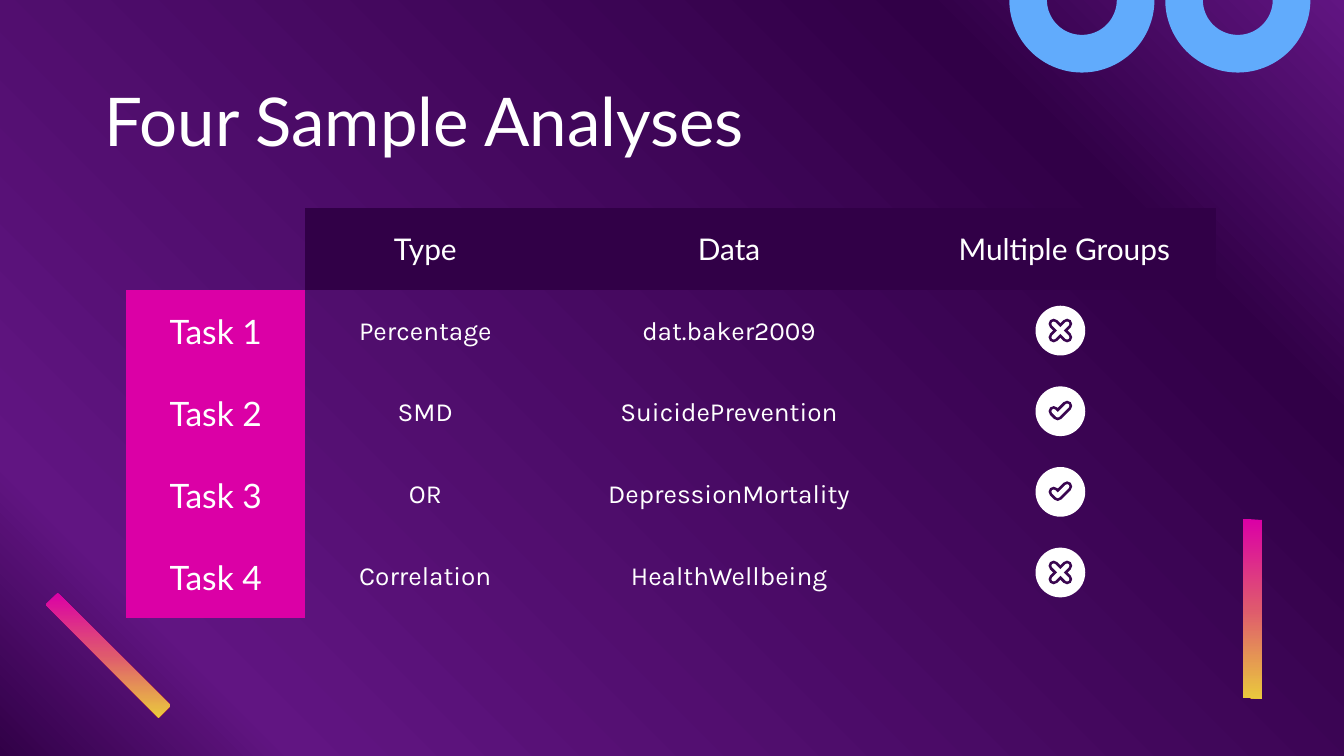
from dataclasses import dataclass
from math import cos, pi, sin

from lxml.etree import SubElement as Sub
from pptx import Presentation
from pptx.dml.color import RGBColor
from pptx.enum.shapes import MSO_SHAPE as Kind
from pptx.enum.text import MSO_ANCHOR as Anchor, MSO_AUTO_SIZE as Auto, PP_ALIGN as Align
from pptx.oxml.ns import qn
from pptx.util import Inches, Pt

WHITE, DARK, PINK, BLUE, HOLE = "FFFFFF", "310047", "DB00A6", "61ABFC", "3A0650"
GLOW = [(0, DARK), (14, "611582"), (80, DARK), (100, "611582")]
BLEND = [(0, PINK), (50, "DF596E"), (100, "EAC93D")]
TICK = [[(-0.05, 0), (-0.02, 0.03), (0.05, -0.04)]]
CROSS = [[(-0.05, -0.05), (0.05, 0.05)], [(0.05, -0.05), (-0.05, 0.05)]]
HEAD = ["Type", "Data", "Multiple Groups"]
WIDTHS = [1.33, 1.79, 2.73, 2.26]
ROW = 0.61


@dataclass
class Task:
    name: str
    kind: str
    data: str
    multi: bool


TASKS = [
    Task("Task 1", "Percentage", "dat.baker2009", False),
    Task("Task 2", "SMD", "SuicidePrevention", True),
    Task("Task 3", "OR", "DepressionMortality", True),
    Task("Task 4", "Correlation", "HealthWellbeing", False),
]
BARS = [
    [(0.34, 4.5), (0.43, 4.41), (1.27, 5.25), (1.18, 5.34)],
    [(9.25, 5.19), (9.25, 3.86), (9.39, 3.87), (9.39, 5.2)],
]


def color(code: str) -> RGBColor:
    """Turn a hex string into a colour."""
    return RGBColor.from_string(code)


def blend(fill, root, stops: list, angle: float) -> None:
    """Give a fill a linear gradient with the listed stops."""
    fill.gradient()
    fill.gradient_angle = angle
    marks = next(root.iter(qn("a:gsLst")))
    for old in list(marks):
        marks.remove(old)
    for place, code in stops:
        stop = Sub(marks, qn("a:gs"), pos=str(place * 1000))
        Sub(stop, qn("a:srgbClr"), val=code)


def trace(shapes, lines: list, close: bool = True):
    """Draw one freeform from lists of points in inches."""
    build = None
    for line in lines:
        spots = [(Inches(x), Inches(y)) for x, y in line]
        if build is None:
            build = shapes.build_freeform(*spots[0])
        else:
            build.move_to(*spots[0])
        build.add_line_segments(spots[1:], close=close)
    shape = build.convert_to_shape()
    shape.shadow.inherit = False
    return shape


def paint(shape, code: str) -> None:
    """Fill a shape with one colour and hide its outline."""
    shape.fill.solid()
    shape.fill.fore_color.rgb = color(code)
    shape.line.fill.background()


def add_ring(shapes, x: float, outer: float = 0.54, inner: float = 0.26) -> None:
    """Draw a half ring hanging from the top edge."""
    turns = [pi * n / 60 for n in range(61)]
    rim = [(x + outer * cos(t), outer * sin(t)) for t in turns]
    hole = [(x + inner * cos(t), inner * sin(t)) for t in reversed(turns)]
    paint(trace(shapes, [rim + hole]), BLUE)


def add_bar(shapes, points: list) -> None:
    """Draw a bar that fades from pink to yellow."""
    bar = trace(shapes, [points])
    blend(bar.fill, bar.element, BLEND, 270)
    bar.line.fill.background()


def add_mark(shapes, x: float, y: float, glyph: list, size: float = 0.37) -> None:
    """Draw a white disc with an outlined glyph in it."""
    group = shapes.add_group_shape().shapes
    disc = group.add_shape(Kind.OVAL, Inches(x - size / 2), Inches(y - size / 2),
                           Inches(size), Inches(size))
    disc.shadow.inherit = False
    paint(disc, WHITE)
    lines = [[(x + a, y + b) for a, b in line] for line in glyph]
    for code, width in ((HOLE, 5.5), (WHITE, 2.4)):
        stroke = trace(group, lines, False)
        stroke.fill.background()
        stroke.line.color.rgb = color(code)
        stroke.line.width = Pt(width)
        pen = next(stroke.element.iter(qn("a:ln")))
        pen.set("cap", "rnd")
        Sub(pen, qn("a:round"))


def style(part, font: str, size: float) -> None:
    """Set the font of all runs in a paragraph."""
    for run in part.runs:
        run.font.name = font
        run.font.size = Pt(size)
        run.font.bold = False
        run.font.color.rgb = color(WHITE)


def set_cell(cell, text: str, font: str, size: float, code: str) -> None:
    """Write and format one table cell."""
    cell.margin_left = cell.margin_right = Inches(0.1)
    cell.margin_top = cell.margin_bottom = Inches(0.1)
    cell.vertical_anchor = Anchor.MIDDLE
    if code:
        cell.fill.solid()
        cell.fill.fore_color.rgb = color(code)
    else:
        cell.fill.background()
    part = cell.text_frame.paragraphs[0]
    part.text = text
    part.alignment = Align.CENTER
    style(part, font, size)


def add_grid(shapes) -> None:
    """Draw the table of tasks."""
    count = len(TASKS) + 1
    frame = shapes.add_table(count, len(WIDTHS), Inches(0.94), Inches(1.55),
                             Inches(sum(WIDTHS)), Inches(ROW * count))
    table = frame.table
    table.first_row = table.horz_banding = False
    look = next(frame.element.iter(qn("a:tableStyleId")))
    look.text = "{2D5ABB26-0587-4C30-8999-92F81FD0307C}"
    for col, width in zip(table.columns, WIDTHS):
        col.width = Inches(width)
    rows = [["", *HEAD]] + [[t.name, t.kind, t.data, ""] for t in TASKS]
    for r, row in enumerate(rows):
        for c, text in enumerate(row):
            if r == 0:
                form = ("Lato", 16, DARK if c else "")
            elif c == 0:
                form = ("Lato", 18, PINK)
            else:
                form = ("Karla", 14, "")
            set_cell(table.cell(r, c), text, *form)


def set_title(title, text: str) -> None:
    """Place and format the slide title."""
    title.left, title.top = Inches(0.68), Inches(0.49)
    title.width, title.height = Inches(8.64), Inches(0.63)
    frame = title.text_frame
    frame.text = text
    frame.auto_size = Auto.NONE
    frame.word_wrap = True
    frame.vertical_anchor = Anchor.TOP
    frame.margin_left = frame.margin_right = Inches(0.1)
    frame.margin_top = frame.margin_bottom = Inches(0.1)
    frame.paragraphs[0].alignment = Align.LEFT
    style(frame.paragraphs[0], "Lato", 36)


def main() -> None:
    """Build the slide and save it."""
    deck = Presentation()
    deck.slide_width = Inches(10)
    deck.slide_height = Inches(10 * 9 / 16)
    slide = deck.slides.add_slide(deck.slide_layouts[5])
    shapes = slide.shapes
    blend(slide.background.fill, slide.element, GLOW, 45)
    for x in (9.21, 8.05):
        add_ring(shapes, x)
    set_title(shapes.title, "Four Sample Analyses")
    add_grid(shapes)
    for n, task in enumerate(TASKS):
        add_mark(shapes, 7.89, 2.46 + 0.6 * n, TICK if task.multi else CROSS)
    for points in BARS:
        add_bar(shapes, points)
    deck.save("out.pptx")


if __name__ == "__main__":
    main()
